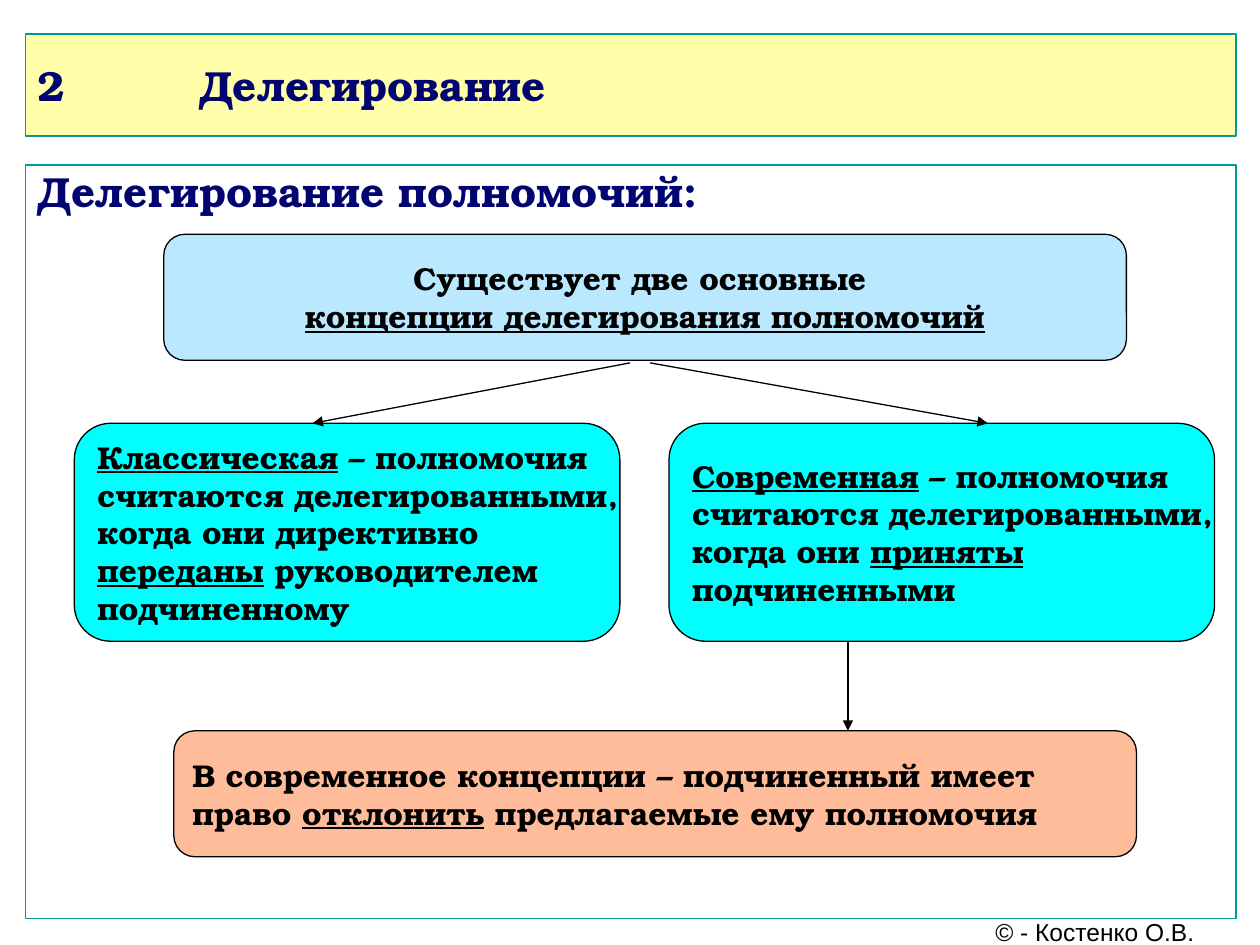
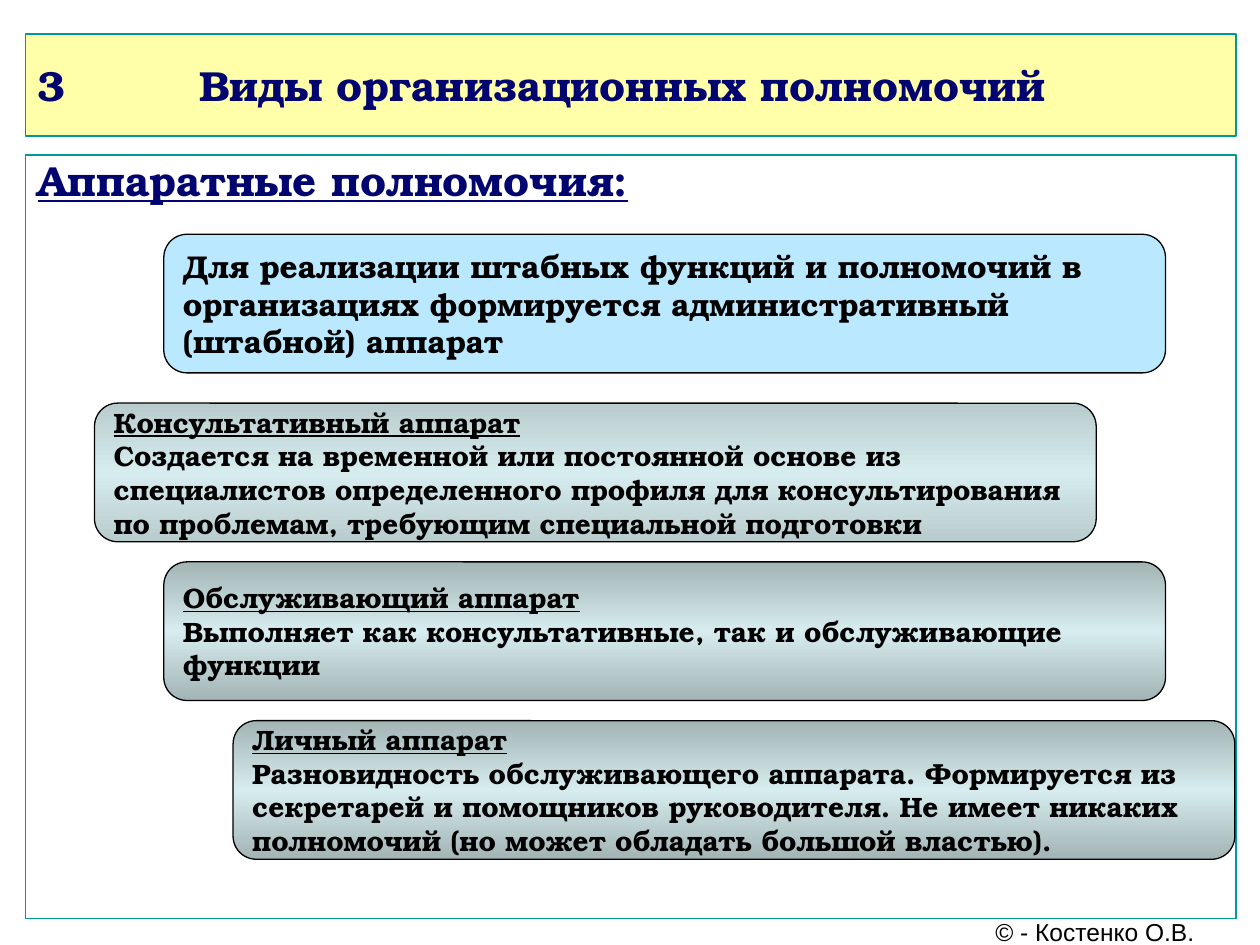
import copy
from dataclasses import dataclass
from typing import Any, NamedTuple

import pptx
import pptx.dml.color
import pptx.enum.shapes
import pptx.enum.text
import pptx.oxml.ns
import pptx.oxml.xmlchemy
import pptx.util

EMU_PER_PX = 9144
PX_PER_INCH = 100

SHAPES = pptx.enum.shapes.MSO_SHAPE
ALIGN = pptx.enum.text.PP_ALIGN
ANCHOR = pptx.enum.text.MSO_ANCHOR


@dataclass(frozen=True)
class Theme:
    serif: str = "TeX Gyre Bonum"
    sans: str = "Arial"
    navy: str = "020570"
    black: str = "000000"
    white: str = "FFFFFF"
    teal: str = "009999"
    band: str = "FFFFA9"
    sky: str = "B9E8FF"
    cyan: str = "00FFFF"
    peach: str = "FFBC9B"
    mist: str = "B9CCCD"
    slate: str = "A3B4B5"
    glow: str = "D6ECEE"
    title_size: int = 24
    box_size: int = 18
    detail_size: int = 16
    footer_size: int = 14
    line_width: float = 0.75
    corner: float = 0.167


THEME = Theme()


class Area(NamedTuple):
    left: int
    top: int
    width: int
    height: int


class TextStyle(NamedTuple):
    size: int
    color: str = THEME.black
    name: str = THEME.serif
    bold: bool = True


@dataclass(frozen=True)
class Box:
    """Rounded box; a fill of several colours is a vertical gradient."""
    area: Area
    fill: tuple[str, ...]
    lines: tuple[str, ...]
    size: int = THEME.box_size
    align: Any = ALIGN.LEFT


class Arrow(NamedTuple):
    start: tuple[int, int]
    end: tuple[int, int]


@dataclass(frozen=True)
class Page:
    title: str
    heading: str
    panel: Area
    boxes: tuple[Box, ...]
    arrows: tuple[Arrow, ...] = ()


TITLE_AREA = Area(20, 27, 961, 81)
FOOTER_AREA = Area(768, 729, 202, 21)
TITLE_INDENT = 78
TITLE_STYLE = TextStyle(THEME.title_size, THEME.navy)
FOOTER_STYLE = TextStyle(THEME.footer_size, name=THEME.sans, bold=False)
FOOTER = "© - Костенко О.В."

STAFF_TYPES = (
    (THEME.mist, (
        "_Консультативный аппарат_",
        "Создается на временной или постоянной основе из",
        "специалистов определенного профиля для консультирования",
        "по проблемам, требующим специальной подготовки",
    )),
    (THEME.slate, (
        "_Обслуживающий аппарат_",
        "Выполняет как консультативные, так и обслуживающие",
        "функции",
    )),
    (THEME.slate, (
        "_Личный аппарат_",
        "Разновидность обслуживающего аппарата. Формируется из",
        "секретарей и помощников руководителя. Не имеет никаких",
        "полномочий (но может обладать большой властью).",
    )),
)

DELEGATION = Page(
    title="2\t\tДелегирование",
    heading="Делегирование полномочий:",
    panel=Area(20, 131, 961, 598),
    boxes=(
        Box(Area(130, 186, 764, 100), (THEME.sky,), (
            "Существует две основные ",
            "_концепции делегирования полномочий_",
        ), align=ALIGN.CENTER),
        Box(Area(59, 336, 433, 173), (THEME.cyan,), (
            "_Классическая_ – полномочия",
            "считаются делегированными,",
            "когда они директивно",
            "_переданы_ руководителем",
            "подчиненному",
        )),
        Box(Area(138, 580, 764, 100), (THEME.peach,), (
            "В современное концепции – подчиненный имеет",
            "право _отклонить_ предлагаемые ему полномочия",
        )),
        Box(Area(531, 336, 433, 173), (THEME.cyan,), (
            "_Современная_ – полномочия",
            "считаются делегированными,",
            "когда они _приняты_ ",
            "подчиненными",
        )),
    ),
    arrows=(
        Arrow((500, 288), (248, 336)),
        Arrow((516, 288), (784, 336)),
        Arrow((673, 509), (673, 580)),
    ),
)

STAFF_AUTHORITY = Page(
    title="3\t\tВиды организационных полномочий",
    heading="_Аппаратные полномочия:_",
    panel=Area(20, 123, 961, 606),
    boxes=(
        Box(Area(130, 186, 795, 110), (THEME.sky,), (
            "Для реализации штабных функций и полномочий в",
            "организациях формируется административный",
            "(штабной) аппарат",
        )),
        *(
            Box(Area(75 + 55 * step, 320 + 126 * step, 795, 110),
                (edge, THEME.glow, edge), lines, THEME.detail_size)
            for step, (edge, lines) in enumerate(STAFF_TYPES)
        ),
    ),
)


def emu(px: int) -> pptx.util.Emu:
    return pptx.util.Emu(px * EMU_PER_PX)


def rgb(color: str) -> pptx.dml.color.RGBColor:
    return pptx.dml.color.RGBColor.from_string(color)


def set_values(target: Any, values: dict[str, Any]) -> None:
    for name, value in values.items():
        setattr(target, name, value)


def add_xml(parent: Any, tag: str, **values: Any) -> Any:
    child = pptx.oxml.xmlchemy.OxmlElement(tag)
    for name, value in values.items():
        child.set(name, str(value))
    parent.append(child)
    return child


def paint(shape: Any, fill: tuple[str, ...], line: str) -> None:
    if len(fill) == 1:
        shape.fill.solid()
        shape.fill.fore_color.rgb = rgb(fill[0])
    else:
        paint_gradient(shape, fill)
    shape.line.color.rgb = rgb(line)
    shape.line.width = pptx.util.Pt(THEME.line_width)


def paint_gradient(shape: Any, colors: tuple[str, ...]) -> None:
    shape.fill.gradient()
    shape.fill.gradient_angle = 270
    stop_list = shape.element.spPr.find(
        ".//" + pptx.oxml.ns.qn("a:gsLst"))
    while len(stop_list) < len(colors):
        stop_list.append(copy.deepcopy(stop_list[0]))
    for index, stop in enumerate(shape.fill.gradient_stops):
        stop.position = index / (len(colors) - 1)
        stop.color.rgb = rgb(colors[index])


def write(frame: Any, lines: tuple[str, ...], style: TextStyle,
          align: Any = ALIGN.LEFT, **frame_values: Any) -> None:
    """Write one paragraph per line; text between underscores is underlined."""
    set_values(frame, {"vertical_anchor": ANCHOR.MIDDLE, "word_wrap": False,
                       **frame_values})
    for index, line in enumerate(lines):
        para = frame.add_paragraph() if index else frame.paragraphs[0]
        para.alignment = align
        for part, text in enumerate(line.split("_")):
            if text:
                span = para.add_run()
                span.text = text
                set_values(span.font, {
                    "name": style.name, "size": pptx.util.Pt(style.size),
                    "bold": style.bold, "underline": part % 2 == 1,
                })
                span.font.color.rgb = rgb(style.color)


def add_title(slide: Any, text: str) -> None:
    title = slide.shapes.title
    set_values(title, {name: emu(px)
                       for name, px in TITLE_AREA._asdict().items()})
    paint(title, (THEME.band,), THEME.teal)
    properties = title.text_frame.paragraphs[0]._p.get_or_add_pPr()
    properties.set("marL", str(emu(TITLE_INDENT)))
    properties.set("indent", str(-emu(TITLE_INDENT)))
    tab_list = add_xml(properties, "a:tabLst")
    for inch in range(8):
        add_xml(tab_list, "a:tab", pos=emu(inch * PX_PER_INCH), algn="l")
    write(title.text_frame, (text,), TITLE_STYLE, word_wrap=True,
          auto_size=pptx.enum.text.MSO_AUTO_SIZE.NONE)


def add_filled(slide: Any, kind: Any, area: Area, fill: tuple[str, ...],
               line: str) -> Any:
    shape = slide.shapes.add_shape(kind, *map(emu, area))
    shape.shadow.inherit = False
    paint(shape, fill, line)
    return shape


def add_panel(slide: Any, area: Area, heading: str) -> None:
    panel = add_filled(slide, SHAPES.RECTANGLE, area, (THEME.white,),
                       THEME.teal)
    write(panel.text_frame, (heading,), TITLE_STYLE, word_wrap=True,
          vertical_anchor=ANCHOR.TOP, margin_top=0)


def add_box(slide: Any, box: Box) -> None:
    shape = add_filled(slide, SHAPES.ROUNDED_RECTANGLE, box.area, box.fill,
                       THEME.black)
    shape.adjustments[0] = THEME.corner
    write(shape.text_frame, box.lines, TextStyle(box.size), box.align)


def add_arrow(slide: Any, arrow: Arrow) -> None:
    connector = slide.shapes.add_connector(
        pptx.enum.shapes.MSO_CONNECTOR.STRAIGHT,
        *map(emu, arrow.start + arrow.end))
    connector.line.color.rgb = rgb(THEME.black)
    connector.line.width = pptx.util.Pt(THEME.line_width)
    add_xml(connector.line._get_or_add_ln(), "a:tailEnd", type="triangle")
    add_xml(connector._element.spPr, "a:effectLst")


def add_footer(slide: Any) -> None:
    footer = slide.shapes.add_textbox(*map(emu, FOOTER_AREA))
    write(footer.text_frame, (FOOTER,), FOOTER_STYLE, ALIGN.CENTER)


def add_page(deck: Any, page: Page) -> None:
    title_only = deck.slide_layouts[5]
    slide = deck.slides.add_slide(title_only)
    add_title(slide, page.title)
    add_panel(slide, page.panel, page.heading)
    for box in page.boxes:
        add_box(slide, box)
    for arrow in page.arrows:
        add_arrow(slide, arrow)
    add_footer(slide)


def main() -> None:
    deck = pptx.Presentation()
    set_values(deck, {"slide_width": emu(1000), "slide_height": emu(750)})
    for page in (DELEGATION, STAFF_AUTHORITY):
        add_page(deck, page)
    deck.save("out.pptx")


if __name__ == "__main__":
    main()
